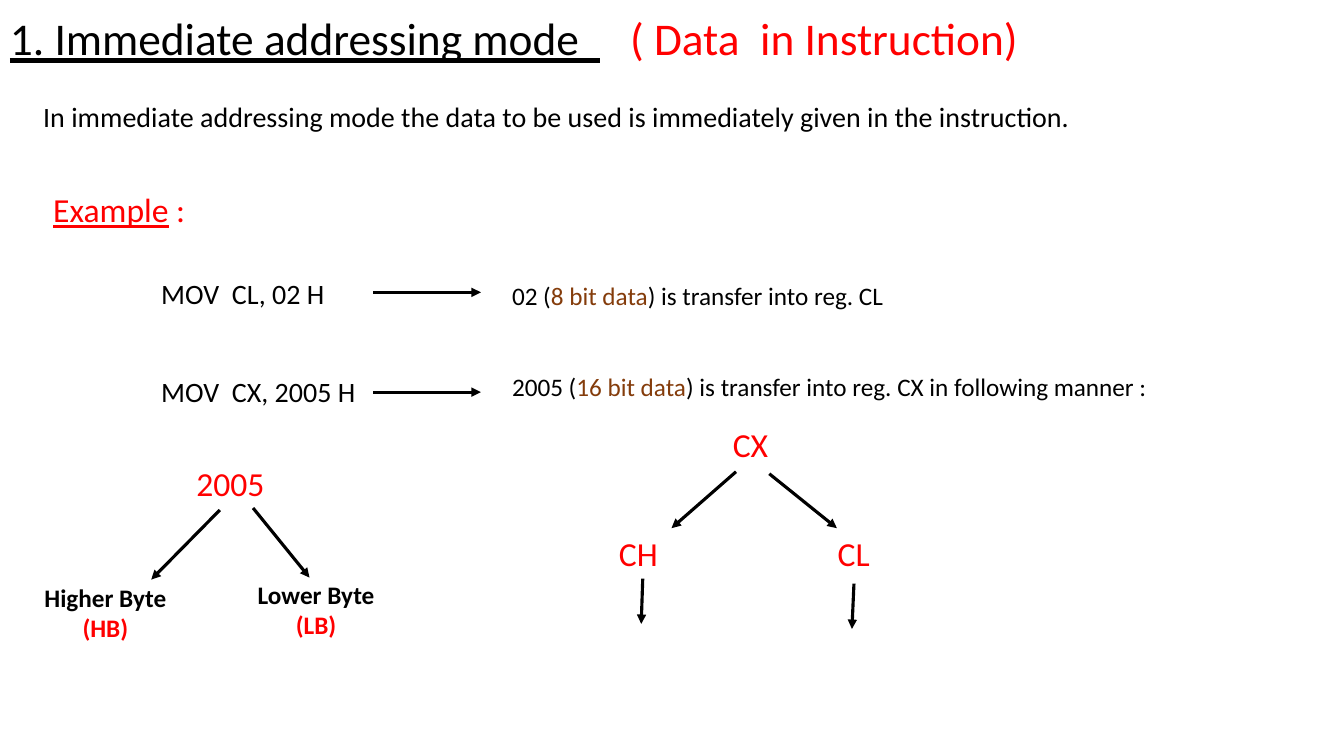
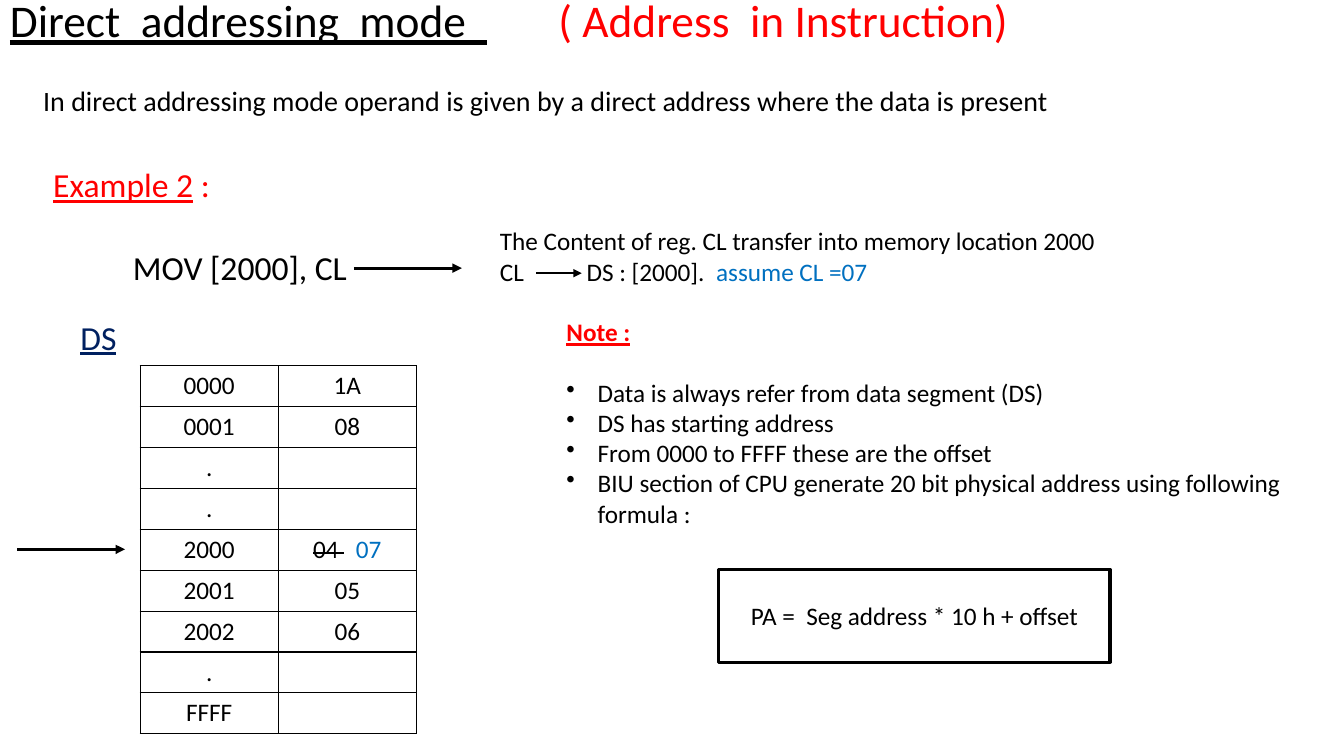
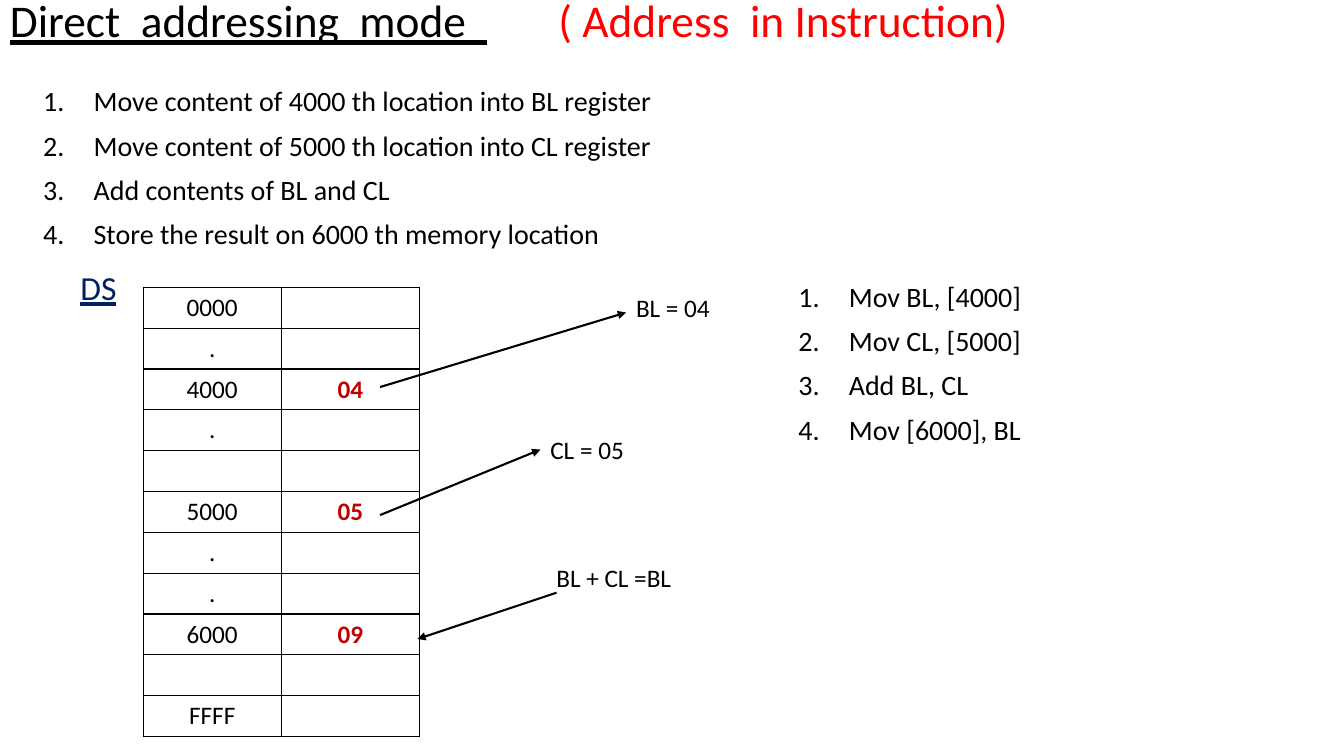
import pptx
import pptx.dml.color
import pptx.enum.shapes
import pptx.enum.text
import pptx.oxml
import pptx.oxml.ns
import pptx.util

Inches = pptx.util.Inches
Pt = pptx.util.Pt
RGBColor = pptx.dml.color.RGBColor
NAMESPACE = pptx.oxml.ns.nsdecls("a")
CENTER = pptx.enum.text.PP_ALIGN.CENTER
MIDDLE = pptx.enum.text.MSO_ANCHOR.MIDDLE

BLACK = RGBColor(0x00, 0x00, 0x00)
RED = RGBColor(0xFF, 0x00, 0x00)
DARK_RED = RGBColor(0xC0, 0x00, 0x00)
BROWN = RGBColor(0x84, 0x3C, 0x0B)
BLUE = RGBColor(0x00, 0x70, 0xC0)
NAVY = RGBColor(0x00, 0x20, 0x60)
FONT = "Calibri"

BODY = {"line_spacing": 0.9}
NUMBERED = {
    "line_spacing": 0.9,
    "space_before": 10,
    "indent": 0.5,
    "bullet": '<a:buAutoNum %s type="arabicPeriod"/>',
}
BULLETED = {"indent": 0.31, "bullet": '<a:buChar %s char="•"/>'}
CENTERED = {"align": CENTER}


def write_text(text_frame, paragraphs, size, align=None, line_spacing=None,
               space_before=0, indent=0, bullet=None, tab=None):
    text_frame.word_wrap = True
    for index, runs in enumerate(paragraphs):
        paragraph = text_frame.add_paragraph() if index else text_frame.paragraphs[0]
        properties = paragraph._p.get_or_add_pPr()
        if bullet:
            properties.set("marL", str(Inches(indent)))
            properties.set("indent", str(-Inches(indent)))
            properties.append(pptx.oxml.parse_xml(bullet % NAMESPACE))
        if tab:
            properties.append(pptx.oxml.parse_xml(
                f'<a:tabLst {NAMESPACE}><a:tab pos="{Inches(tab)}" algn="l"/></a:tabLst>'))
        paragraph.alignment = align
        paragraph.line_spacing = line_spacing
        if index and space_before:
            paragraph.space_before = Pt(space_before)
        for text, color, *marks in runs:
            run = paragraph.add_run()
            run.text = text
            run.font.name = FONT
            run.font.size = Pt(size)
            run.font.color.rgb = color
            run.font.bold = "bold" in marks
            run.font.underline = "underline" in marks
            if "strike" in marks:
                run._r.get_or_add_rPr().set("strike", "sngStrike")


def add_arrow(slide, start, end, weight):
    arrow = slide.shapes.add_connector(
        pptx.enum.shapes.MSO_CONNECTOR.STRAIGHT,
        Inches(start[0]), Inches(start[1]), Inches(end[0]), Inches(end[1]))
    arrow.line.color.rgb = BLACK
    arrow.line.width = Pt(weight)
    arrow.line._get_or_add_ln().append(
        pptx.oxml.parse_xml(f'<a:tailEnd {NAMESPACE} type="triangle"/>'))
    arrow._element.spPr.append(pptx.oxml.parse_xml(f"<a:effectLst {NAMESPACE}/>"))
    return arrow


presentation = pptx.Presentation()
presentation.slide_width = Inches(13.33)
presentation.slide_height = Inches(7.5)

titles = [
    ("1. Immediate addressing mode  ", "( Data  in Instruction)", 0.18, 6.15),
    ("Direct  addressing  mode  ", "( Address  in Instruction)", 0, 5.44),
    ("Direct  addressing  mode  ", "( Address  in Instruction)", 0, 5.44),
]
slides = []
for mode, remark, top, tab in titles:
    slide = presentation.slides.add_slide(presentation.slide_layouts[6])
    slides.append(slide)
    title = slide.shapes.add_textbox(Inches(0), Inches(top), Inches(12.42), Inches(0.46))
    title.text_frame.margin_top = title.text_frame.margin_bottom = 0
    title.text_frame.vertical_anchor = MIDDLE
    write_text(title.text_frame, [[(mode, BLACK, "underline"), ("\t" + remark, RED)]],
               32.4, line_spacing=0.9, tab=tab)
immediate, direct, program = slides

text_boxes = [
    (immediate, "definition", (0.33, 0.98, 12.09, 0.58), 20, BODY,
     [[("In immediate addressing mode the data to be used is immediately given in the instruction.", BLACK)]]),
    (immediate, "example", (0.43, 1.83, 2.33, 0.5), 24, {},
     [[("Example", RED, "underline"), (" :", RED)]]),
    (immediate, "move 8 bit", (1.5, 2.73, 1.85, 0.42), 20, BODY, [[("MOV  CL, 02 H", BLACK)]]),
    (immediate, "move 16 bit", (1.5, 3.7, 2.2, 0.66), 20, BODY, [[("MOV  CX, 2005 H", BLACK)]]),
    (immediate, "result 8 bit", (4.98, 2.73, 4.01, 0.4), 18, {},
     [[("02 (", BLACK), ("8 bit data", BROWN), (") is transfer into reg. CL", BLACK)]]),
    (immediate, "result 16 bit", (4.98, 3.63, 6.65, 0.4), 18, {},
     [[("2005 (", BLACK), ("16 bit data", BROWN),
       (") is transfer into reg. CX in following manner :", BLACK)]]),
    (immediate, "CX", (7.17, 4.16, 0.67, 0.5), 24, {}, [[("CX", RED)]]),
    (immediate, "CL", (8.21, 5.24, 0.67, 0.5), 24, {}, [[("CL", RED)]]),
    (immediate, "CH", (6.04, 5.24, 0.67, 0.5), 24, {}, [[("CH", RED)]]),
    (immediate, "value", (1.85, 4.54, 0.95, 0.5), 24, {}, [[("2005", RED)]]),
    (immediate, "higher byte", (0.2, 5.73, 1.69, 0.71), 18, CENTERED,
     [[("Higher Byte ", BLACK, "bold"), ("(HB)", RED, "bold")]]),
    (immediate, "lower byte", (2.29, 5.7, 1.69, 0.71), 18, CENTERED,
     [[("Lower Byte ", BLACK, "bold"), ("(LB)", RED, "bold")]]),
    (direct, "direct definition", (0.33, 0.82, 12.09, 0.58), 20, BODY,
     [[("In direct addressing mode operand is given by a direct address where the data is present", BLACK)]]),
    (direct, "example 2", (0.43, 1.58, 2.33, 0.5), 24, {},
     [[("Example 2", RED, "underline"), (" :", RED)]]),
    (direct, "move to memory", (1.22, 2.45, 2.62, 0.52), 24, BODY, [[("MOV [2000], CL", BLACK)]]),
    (direct, "transfer", (4.86, 2.19, 7.77, 0.71), 18, {"tab": 0.86},
     [[("The Content of reg. CL transfer into memory location 2000", BLACK)],
      [("CL\tDS : [2000].  ", BLACK), ("assume CL =07", BLUE)]]),
    (direct, "direct segment", (0.7, 3.09, 1.03, 0.5), 24, {}, [[("DS", NAVY, "underline")]]),
    (direct, "note", (5.52, 3.09, 0.86, 0.4), 18, {}, [[("Note :", RED, "bold", "underline")]]),
    (direct, "note points", (5.52, 3.69, 7.8, 1.62), 18, BULLETED,
     [[(point, BLACK)] for point in (
         "Data is always refer from data segment (DS)",
         "DS has starting address",
         "From 0000 to FFFF these are the offset",
         "BIU section of CPU generate 20 bit physical address using following formula :")]),
    (program, "steps", (0.33, 0.82, 12.09, 1.82), 20, NUMBERED,
     [[(step, BLACK)] for step in (
         "Move content of 4000 th location into BL register",
         "Move content of 5000 th location into CL register",
         "Add contents of BL and CL",
         "Store the result on 6000 th memory location")]),
    (program, "program segment", (0.7, 2.6, 1.03, 0.5), 24, {}, [[("DS", NAVY, "underline")]]),
    (program, "BL value", (6.21, 2.85, 1.02, 0.4), 18, {}, [[("BL = 04", BLACK)]]),
    (program, "CL value", (5.36, 4.26, 1.02, 0.4), 18, {}, [[("CL = 05", BLACK)]]),
    (program, "sum", (5.42, 5.53, 2.6, 0.4), 18, {}, [[("BL + CL =BL", BLACK)]]),
    (program, "code", (7.82, 2.76, 4.41, 1.82), 20, NUMBERED,
     [[(line, BLACK)] for line in (
         "Mov BL, [4000]", "Mov CL, [5000]", "Add BL, CL", "Mov [6000], BL")]),
]
boxes = {}
for slide, name, place, size, style, paragraphs in text_boxes:
    boxes[name] = slide.shapes.add_textbox(*[Inches(length) for length in place])
    write_text(boxes[name].text_frame, paragraphs, size, **style)

formula = direct.shapes.add_shape(
    pptx.enum.shapes.MSO_SHAPE.RECTANGLE, Inches(7.13), Inches(5.65), Inches(3.88), Inches(0.92))
formula.shadow.inherit = False
formula.fill.background()
formula.line.color.rgb = BLACK
formula.line.width = Pt(2.25)
formula.text_frame.vertical_anchor = MIDDLE
write_text(formula.text_frame, [[("PA =  Seg address * 10 h + offset", BLACK)]], 18, align=CENTER)

direct_memory = [
    ("0000", [("1A", BLACK)]),
    ("0001", [("08", BLACK)]),
    (".", []),
    (".", []),
    ("2000", [("04 ", BLACK, "strike"), ("  07", BLUE)]),
    ("2001", [("05", BLACK)]),
    ("2002", [("06", BLACK)]),
    (".", []),
    ("FFFF", []),
]
stored = {"4000": "04", "5000": "05", "6000": "09"}
program_memory = [
    (address, [(stored[address], DARK_RED, "bold")] if address in stored else [])
    for address in ("0000", ".", "4000", ".", "", "5000", ".", ".", "6000", "", "FFFF")
]
for slide, left, top, height, memory in (
    (direct, 1.39, 3.63, 3.65, direct_memory),
    (program, 1.42, 2.85, 4.46, program_memory),
):
    table = slide.shapes.add_table(
        len(memory), 2, Inches(left), Inches(top), Inches(2.74), Inches(height)).table
    table.first_row = False
    table.horz_banding = False
    for row, (address, content) in enumerate(memory):
        for column, runs in enumerate(([(address, BLACK)] if address else [], content)):
            cell = table.cell(row, column)
            write_text(cell.text_frame, [runs], 18, align=CENTER)
            properties = cell._tc.get_or_add_tcPr()
            for side in ("lnL", "lnR", "lnT", "lnB"):
                properties.append(pptx.oxml.parse_xml(
                    f'<a:{side} {NAMESPACE} w="{Pt(1)}"><a:solidFill>'
                    f'<a:srgbClr val="{BLACK}"/></a:solidFill></a:{side}>'))
            cell.fill.background()

for slide, start, end, weight in (
    (immediate, (3.7, 2.9), (4.77, 2.9), 2.25),
    (immediate, (3.7, 3.89), (4.77, 3.89), 2.25),
    (immediate, (7.3, 4.68), (6.66, 5.24), 2.25),
    (immediate, (7.63, 4.7), (8.3, 5.24), 2.25),
    (immediate, (8.47, 5.79), (8.45, 6.24), 2.25),
    (immediate, (2.18, 5.06), (1.5, 5.75), 2.25),
    (immediate, (2.51, 5.04), (3.07, 5.73), 2.25),
    (direct, (3.51, 2.66), (4.58, 2.66), 2.25),
    (direct, (0.17, 5.45), (1.24, 5.45), 2.25),
    (direct, (5.32, 2.71), (5.77, 2.71), 1.5),
    (program, (3.77, 3.84), (6.21, 3.1), 1.5),
    (program, (5.52, 5.88), (4.14, 6.34), 1.5),
):
    add_arrow(slide, start, end, weight)

high_arrow = add_arrow(immediate, (6.37, 5.75), (6.36, 6.19), 2.25)
high_arrow.begin_connect(boxes["CH"], 2)
load_arrow = add_arrow(program, (3.77, 5.11), (5.36, 4.46), 1.5)
load_arrow.end_connect(boxes["CL value"], 1)

presentation.save("out.pptx")
